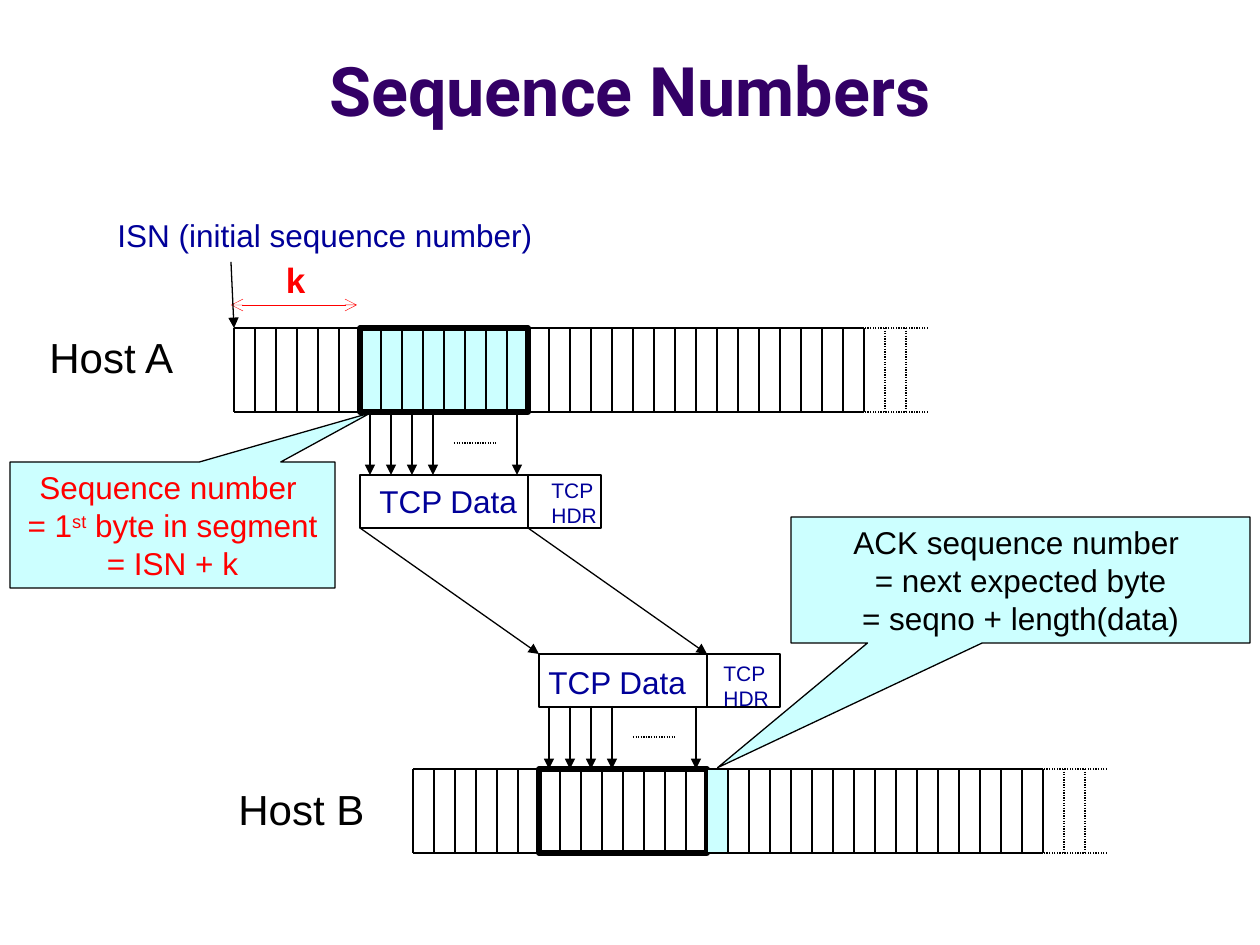
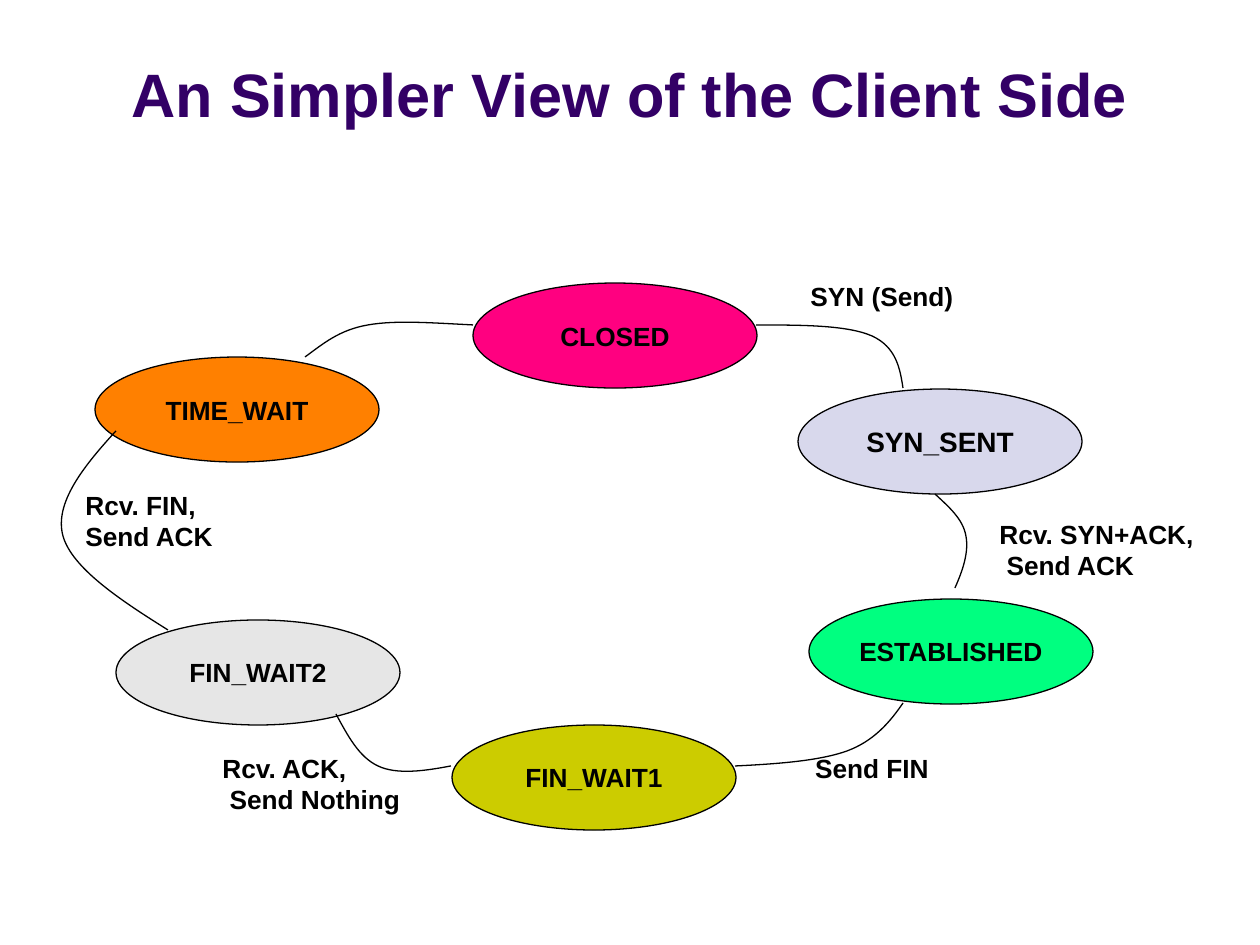
from lxml.etree import SubElement
from pptx import Presentation
from pptx.dml.color import RGBColor
from pptx.enum.dml import MSO_LINE
from pptx.enum.shapes import MSO_CONNECTOR as CONN, MSO_SHAPE as SHAPE
from pptx.enum.text import MSO_ANCHOR as ANCHOR, MSO_AUTO_SIZE as AUTO, PP_ALIGN as ALIGN
from pptx.oxml.ns import qn
from pptx.util import Inches, Pt

SCALE = Inches(1) / 126
BLACK, WHITE, RED = "000000", "FFFFFF", "FF0000"
NAVY, PURPLE, CYAN = "000099", "330066", "CCFFFF"
PITCH = 21


def px(*values):
    return [round(v * SCALE) for v in values]


def rgb(value):
    return RGBColor.from_string(value)


class Deck:
    font = "Arial"
    thin = 0.75

    def __init__(self):
        self.prs = Presentation()
        self.prs.slide_width, self.prs.slide_height = Inches(10), Inches(7.5)

    def style(self, tf, size, color=BLACK, bold=False, font=None, align=None):
        for p in tf.paragraphs:
            p.alignment = align
            for r in p.runs:
                f = r.font
                f.name, f.size, f.bold = font or self.font, Pt(size), bold
                f.color.rgb = rgb(color)

    def outline(self, sp, color=BLACK, width=None):
        sp.line.color.rgb = rgb(color)
        sp.line.width = Pt(width or self.thin)

    def new_slide(self, title, size, font=None):
        self.slide = self.prs.slides.add_slide(self.prs.slide_layouts[5])
        self.shapes = self.slide.shapes
        sp = self.shapes.title
        sp.left, sp.top, sp.width, sp.height = px(0, 16, 1260, 120)
        tf = sp.text_frame
        tf.text = title
        tf.auto_size, tf.vertical_anchor = AUTO.NONE, ANCHOR.BOTTOM
        self.style(tf, size, PURPLE, True, font, ALIGN.CENTER)

    def box(self, x, y, w, h, fill=None, width=None, kind=SHAPE.RECTANGLE):
        sp = self.shapes.add_shape(kind, *px(x, y, w, h))
        sp.shadow.inherit = False
        if fill:
            sp.fill.solid()
            sp.fill.fore_color.rgb = rgb(fill)
        else:
            sp.fill.background()
        self.outline(sp, width=width)
        return sp

    def state(self, x, y, text, fill, size=15):
        tf = self.box(x, y, 284, 105, fill, kind=SHAPE.OVAL).text_frame
        tf.text = text
        tf.word_wrap, tf.vertical_anchor = False, ANCHOR.MIDDLE
        self.style(tf, size, bold=True, align=ALIGN.CENTER)

    def callout(self, x, y, w, h, tip, text, color=BLACK, superscript=None):
        sp = self.box(x, y, w, h, CYAN, kind=SHAPE.RECTANGULAR_CALLOUT)
        sp.adjustments[0], sp.adjustments[1] = tip
        tf = sp.text_frame
        tf.word_wrap, tf.vertical_anchor = True, ANCHOR.TOP
        if superscript:
            before, after = text.split(superscript, 1)
            p = tf.paragraphs[0]
            p.text = before
            r = p.add_run()
            r.text = superscript
            r.font._element.set("baseline", "30000")
            p.add_run().text = after
        else:
            tf.text = text
        self.style(tf, 18, color, align=ALIGN.CENTER)

    def label(self, x, y, w, h, text, size, color=BLACK, bold=False,
              font=None, wrap=False, align=None):
        tf = self.shapes.add_textbox(*px(x, y, w, h)).text_frame
        tf.text = text
        tf.word_wrap, tf.auto_size = wrap, AUTO.SHAPE_TO_FIT_TEXT
        self.style(tf, size, color, bold, font, align)

    def line(self, x1, y1, x2, y2, dotted=False, head=None, tail=None,
             color=BLACK, width=None):
        c = self.shapes.add_connector(CONN.STRAIGHT, *px(x1, y1, x2, y2))
        self.outline(c, color, width)
        if dotted:
            c.line.dash_style = MSO_LINE.ROUND_DOT
        spPr = c._element.spPr
        ln = spPr.get_or_add_ln()
        for tag, kind in (("a:headEnd", head), ("a:tailEnd", tail)):
            if kind:
                SubElement(ln, qn(tag)).set("type", kind)
        SubElement(spPr, qn("a:effectLst"))

    def curve(self, start, *points):
        builder = self.shapes.build_freeform(*px(*start))
        builder.add_line_segments([px(*pt) for pt in points], close=False)
        sp = builder.convert_to_shape()
        sp.shadow.inherit = False
        sp.fill.background()
        self.outline(sp)
        geom = sp._element.xpath(".//a:path")[0]
        segments = list(geom)[1:]
        for i in range(0, len(segments), 3):
            bezier = SubElement(geom, qn("a:cubicBezTo"))
            for seg in segments[i:i + 3]:
                bezier.append(seg[0])
                geom.remove(seg)

    def byte_stream(self, x, y):
        solid_end, bottom = x + 30 * PITCH, y + 84
        for edge in (y, bottom):
            self.line(x, edge, solid_end, edge)
            self.line(solid_end + 64, edge, solid_end, edge, dotted=True)
        for i in range(33):
            self.line(x + i * PITCH, y, x + i * PITCH, bottom, dotted=i > 30)

    def segment(self, x, y):
        self.box(x, y, 8 * PITCH, 53, WHITE)
        self.box(x + 8 * PITCH, y, 73, 53, WHITE)

    def byte_arrows(self, x, y):
        for i in (0, 1, 2, 3, 7):
            self.line(x + 10 + i * PITCH, y, x + 10 + i * PITCH, y + 63, tail="triangle")
        self.line(x + 94, y + 31, x + 136, y + 31, dotted=True)


deck = Deck()

deck.new_slide("Sequence Numbers", 39, "Roboto")
ax, ay, bx, by = 234, 328, 413, 769
a_data, b_data = ax + 6 * PITCH, bx + 6 * PITCH
deck.box(a_data, ay, 8 * PITCH, 84, CYAN, 3)
deck.byte_stream(ax, ay)
deck.byte_stream(bx, by)
deck.segment(a_data, 475)
deck.segment(b_data, 654)
for offset in (0, 8 * PITCH):
    deck.line(a_data + offset, 528, b_data + offset, 654, tail="triangle")
deck.byte_arrows(a_data, 412)
deck.byte_arrows(b_data, 706)
for x, y in ((367, 476), (536, 657)):
    deck.label(x, y, 165, 50, "TCP Data", 18, NAVY)
for x, y in ((539, 471), (711, 654)):
    deck.label(x, y, 72, 63, "TCP \nHDR", 12, NAVY)
deck.box(b_data, by, 8 * PITCH, 84, width=3)
deck.callout(791, 517, 459, 126, (-0.66, 1.49),
             "ACK sequence number \n= next expected byte\n= seqno + length(data)")
deck.box(b_data + 8 * PITCH, by, PITCH, 84, CYAN)
deck.label(37, 325, 151, 63, "Host A", 24)
deck.label(226, 777, 152, 63, "Host B", 24)
deck.label(105, 210, 445, 50, "ISN (initial sequence number)", 18, NAVY)
deck.callout(10, 462, 325, 126, (0.61, -0.89),
             "Sequence number \v= 1st byte in segment = ISN + k", RED, "st")
deck.line(231, 305, 357, 305, head="arrow", tail="arrow", color=RED, width=0.25)
deck.line(231, 262, ax, ay, tail="triangle")
deck.label(273, 252, 47, 55, "k", 20, RED, True, "Courier New")

deck.new_slide("An Simpler View of the Client Side", 35)
for x, y, text, fill, size in (
    (473, 283, "CLOSED", "FF0080", 15),
    (95, 357, "TIME_WAIT", "FF8000", 15),
    (116, 620, "FIN_WAIT2", "E6E6E6", 15),
    (452, 725, "FIN_WAIT1", "CCCC00", 15),
    (809, 599, "ESTABLISHED", "00FF80", 15),
    (798, 389, "SYN_SENT", "D8D8EC", 16),
):
    deck.state(x, y, text, fill, size)
for points in (
    ((756, 325), (801, 325), (847, 325), (872, 336), (896, 347), (900, 368), (903, 388)),
    ((935, 494), (949, 507), (963, 519), (966, 536), (969, 552), (963, 570), (955, 588)),
    ((903, 703), (890, 722), (874, 741), (847, 751), (819, 761), (777, 764), (735, 766)),
    ((451, 766), (425, 771), (397, 775), (378, 766), (359, 757), (348, 736), (336, 714)),
    ((168, 630), (120, 600), (72, 568), (63, 536), (54, 503), (84, 466), (116, 431)),
    ((305, 357), (323, 344), (339, 330), (368, 325), (396, 320), (433, 323), (473, 325)),
):
    deck.curve(*points)
for x, y, w, h, text, align in (
    (798, 274, 199, 44, "SYN (Send)", None),
    (987, 512, 231, 77, "Rcv. SYN+ACK,\v Send ACK", None),
    (725, 746, 294, 44, "Send FIN", ALIGN.CENTER),
    (210, 746, 315, 77, "Rcv. ACK,\v Send Nothing", None),
    (73, 483, 262, 77, "Rcv. FIN, \vSend ACK", None),
):
    deck.label(x, y, w, h, text, 15, bold=True, wrap=True, align=align)

deck.prs.save("out.pptx")
